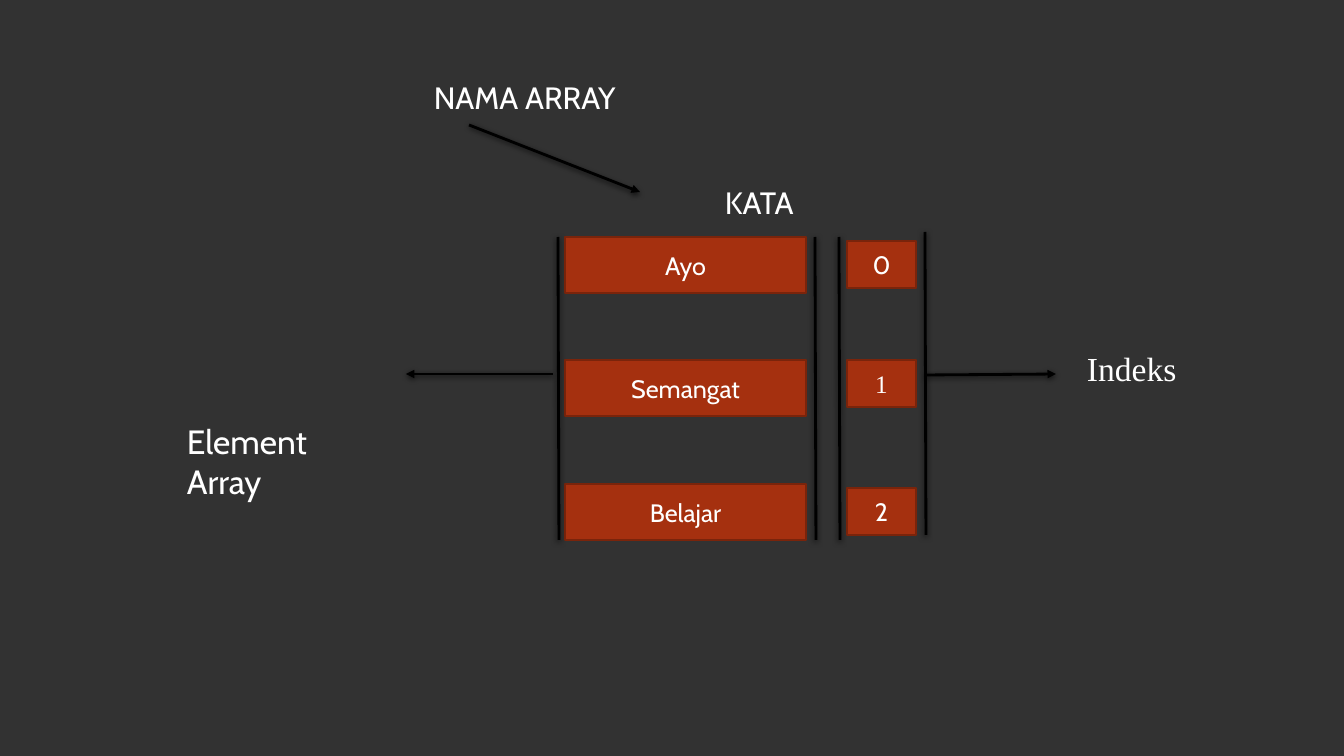
from lxml import etree
from pptx import Presentation
from pptx import util as u
from pptx.dml.color import RGBColor
from pptx.enum import shapes, text
from pptx.oxml import parse_xml
from pptx.oxml.ns import nsdecls, qn

BACKGROUND = RGBColor(0x32, 0x32, 0x32)
BRICK = RGBColor(0xA5, 0x30, 0x0F)
BRICK_EDGE = RGBColor(0x7A, 0x24, 0x0B)
BLACK = RGBColor(0, 0, 0)
WHITE = RGBColor(0xFF, 0xFF, 0xFF)
SANS = "Cabin"
SERIF = "Times New Roman"
SOFT_SHADOW = (
    f'<a:effectLst {nsdecls("a")}>'
    '<a:outerShdw blurRad="50800" dist="15240" dir="5400000" rotWithShape="0">'
    '<a:srgbClr val="000000"><a:alpha val="68000"/></a:srgbClr>'
    '</a:outerShdw></a:effectLst>'
)


def px(length):
    """Turn pixels, 1344 to the slide width, into EMU."""
    return u.Emu(round(length * 12192000 / 1344))


class ArrayDiagram:
    def __init__(self, slide):
        self.shapes = slide.shapes
        slide.background.fill.solid()
        slide.background.fill.fore_color.rgb = BACKGROUND

    def set_words(self, frame, words, size, font):
        frame.word_wrap = True
        paragraph = frame.paragraphs[0]
        paragraph.text = words
        paragraph.font.size = u.Pt(size)
        paragraph.font.name = font
        paragraph.font.color.rgb = WHITE
        return paragraph

    def label(self, words, left, top, width, height, size=24, font=SANS):
        box = self.shapes.add_textbox(px(left), px(top), px(width), px(height))
        self.set_words(box.text_frame, words, size, font)

    def cell(self, words, left, top, width, height, font=SANS):
        box = self.shapes.add_shape(
            shapes.MSO_SHAPE.RECTANGLE, px(left), px(top), px(width), px(height))
        box.shadow.inherit = False
        box.fill.solid()
        box.fill.fore_color.rgb = BRICK
        box.line.color.rgb = BRICK_EDGE
        box.line.width = u.Pt(1)
        box.text_frame.vertical_anchor = text.MSO_ANCHOR.MIDDLE
        paragraph = self.set_words(box.text_frame, words, 18, font)
        paragraph.alignment = text.PP_ALIGN.CENTER

    def line(self, x1, y1, x2, y2, arrow=False):
        stroke = self.shapes.add_connector(
            shapes.MSO_CONNECTOR.STRAIGHT, px(x1), px(y1), px(x2), px(y2))
        stroke.line.color.rgb = BLACK
        stroke.line.width = u.Pt(2)
        properties = stroke._element.spPr
        if arrow:
            etree.SubElement(properties.find(qn("a:ln")), qn("a:tailEnd"), type="triangle")
        properties.append(parse_xml(SOFT_SHADOW))


def main():
    deck = Presentation()
    deck.slide_width, deck.slide_height = px(1344), px(756)
    diagram = ArrayDiagram(deck.slides.add_slide(deck.slide_layouts[6]))

    diagram.label("NAMA ARRAY", 424, 74, 230, 46, size=22)
    diagram.label("KATA", 715, 179, 120, 46, size=22)
    diagram.label("Element Array", 177, 416, 190, 99)
    diagram.label("Indeks", 1077, 343, 120, 92, font=SERIF)

    for element, top in (("Ayo", 237), ("Semangat", 360), ("Belajar", 484)):
        diagram.cell(element, 565, top, 241, 56)
    for index, top, font in (("0", 241, SANS), ("1", 360, SERIF), ("2", 488, SANS)):
        diagram.cell(index, 847, top, 69, 47, font)

    for rail, top in ((558, 237), (815, 237), (839, 237), (925, 232)):
        diagram.line(rail, top, rail + 1, top + 303)

    name_arrow = (469, 125, 640, 192)
    element_arrow = (553, 374, 406, 374)
    index_arrow = (925, 375, 1056, 374)
    for ends in (name_arrow, element_arrow, index_arrow):
        diagram.line(*ends, arrow=True)

    deck.save("out.pptx")


if __name__ == "__main__":
    main()
